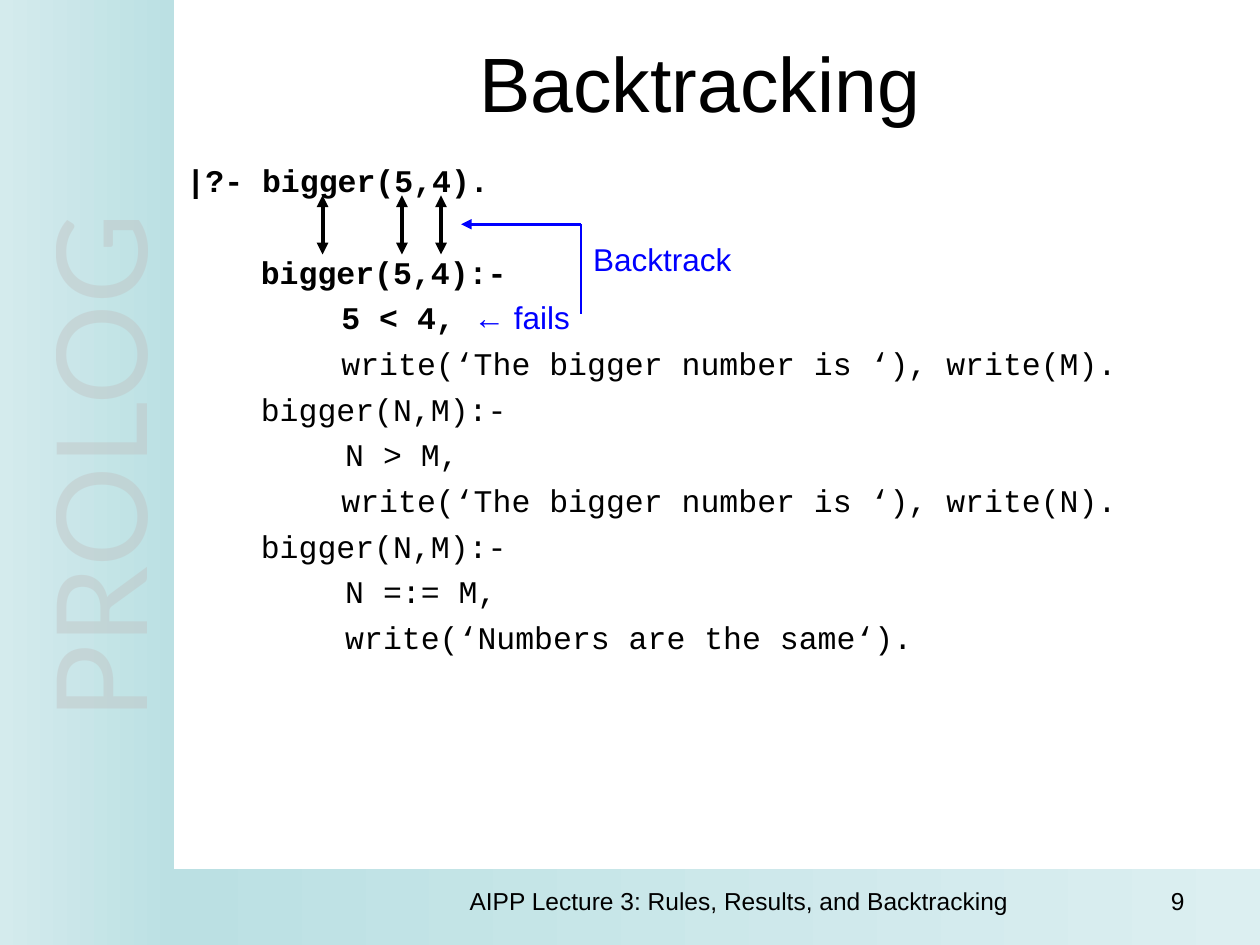
from pptx import Presentation
from pptx.dml.color import RGBColor
from pptx.enum.shapes import MSO_CONNECTOR as Connector, MSO_SHAPE as Preset
from pptx.enum.text import MSO_ANCHOR as Anchor, MSO_AUTO_SIZE as AutoSize, PP_ALIGN as Align
from pptx.oxml.ns import qn
from pptx.util import Inches, Pt
from lxml.etree import SubElement

BLACK = RGBColor(0x00, 0x00, 0x00)
BLUE = RGBColor(0x00, 0x00, 0xFF)
SILVER = RGBColor(0xC0, 0xC0, 0xC0)
TEAL = RGBColor(0xBB, 0xE0, 0xE3)
PALE_TEAL = RGBColor(0xD4, 0xEB, 0xED)
LIGHT_TEAL = RGBColor(0xDC, 0xEF, 0xF1)

CLAUSE, GOAL, TABBED_GOAL = 0.59, 1.23, 1.26
LINE_GAP, BLANK_LINE_GAP = 4.5, 30.6
CODE_LINES = [
    (0, [("|?- bigger(5,4).", True)]),
    (CLAUSE, [("bigger(5,4):-", True)]),
    (GOAL, [("5 < 4, ", True), ("← fails", False)]),
    (GOAL, [("write(‘The bigger number is ‘), write(M).", False)]),
    (CLAUSE, [("bigger(N,M):-", False)]),
    (TABBED_GOAL, [("N > M,", False)]),
    (GOAL, [("write(‘The bigger number is ‘), write(N).", False)]),
    (CLAUSE, [("bigger(N,M):-", False)]),
    (TABBED_GOAL, [("N =:= M,", False)]),
    (TABBED_GOAL, [("write(‘Numbers are the same‘).", False)]),
]


def place(shape, left, top, width, height):
    """Move and size a shape, in inches."""
    shape.left, shape.top = Inches(left), Inches(top)
    shape.width, shape.height = Inches(width), Inches(height)


def format_run(run, size, color, name="Arial", bold=False):
    """Set the font of a run."""
    run.font.name, run.font.size, run.font.bold = name, Pt(size), bold
    run.font.color.rgb = color


def add_band(slide, box, start, end):
    """Add a rectangle with a left to right gradient."""
    band = slide.shapes.add_shape(Preset.RECTANGLE, *map(Inches, box))
    band.shadow.inherit = False
    band.line.fill.background()
    band.fill.gradient()
    band.fill.gradient_angle = 0
    for stop, color in zip(band.fill.gradient_stops, (start, end)):
        stop.color.rgb = color


def add_label(slide, text, box, size, color, align=Align.LEFT, name="Arial", wrap=True):
    """Add a text box with one formatted line."""
    label = slide.shapes.add_textbox(*map(Inches, box))
    text_frame = label.text_frame
    text_frame.word_wrap = wrap
    text_frame.text = text
    paragraph = text_frame.paragraphs[0]
    paragraph.alignment = align
    format_run(paragraph.runs[0], size, color, name)
    return label


def add_watermark_word(slide):
    """Add the translucent vertical word on the side band."""
    label = add_label(slide, "PROLOG", (-2.77, 3.17, 6.85, 1.07), 72, SILVER, Align.CENTER, "Lato")
    label.rotation = 270
    color = next(label._element.iter(qn("a:srgbClr")))
    SubElement(color, qn("a:alpha"), val="42000")


def add_line(slide, start, end, color, width, arrowheads=()):
    """Add a straight line with triangles at the named ends."""
    line = slide.shapes.add_connector(Connector.STRAIGHT, *map(Inches, start + end))
    line.line.color.rgb = color
    line.line.width = Pt(width)
    outline = line.line._get_or_add_ln()
    for arrowhead in arrowheads:
        SubElement(outline, qn("a:" + arrowhead), type="triangle")
    SubElement(line._element.spPr, qn("a:effectLst"))


def fill_title(title):
    """Write the slide title."""
    place(title, 1.38, 0.21, 8.35, 0.87)
    text_frame = title.text_frame
    text_frame.text = "Backtracking"
    text_frame.vertical_anchor = Anchor.MIDDLE
    text_frame.auto_size = AutoSize.NONE
    paragraph = text_frame.paragraphs[0]
    paragraph.alignment = Align.CENTER
    format_run(paragraph.runs[0], 44, BLACK)


def fill_code(body):
    """Write the program lines with their indents."""
    place(body, 1.38, 1.23, 8.74, 5.67)
    text_frame = body.text_frame
    text_frame.auto_size = AutoSize.NONE
    text_frame.text = "\n".join("".join(text for text, _ in parts) for _, parts in CODE_LINES)
    for index, (paragraph, (margin, parts)) in enumerate(zip(text_frame.paragraphs, CODE_LINES)):
        paragraph.level = int(margin > CLAUSE)
        paragraph.line_spacing = Pt(21.6)
        paragraph.space_before = Pt(BLANK_LINE_GAP if index == 1 else LINE_GAP)
        properties = paragraph._p.get_or_add_pPr()
        properties.set("marL", str(Inches(margin)))
        properties.set("indent", "0")
        SubElement(properties, qn("a:buNone"))
        paragraph.clear()
        for text, bold in parts:
            run = paragraph.add_run()
            run.text = text
            if text.startswith("←"):
                format_run(run, 18, BLUE)
            else:
                format_run(run, 18, BLACK, "Courier New", bold)


def main():
    """Build and save the slide."""
    presentation = Presentation()
    presentation.slide_width, presentation.slide_height = Inches(10), Inches(7.5)
    slide = presentation.slides.add_slide(presentation.slide_layouts[1])

    add_band(slide, (1.38, 6.9, 8.62, 0.6), TEAL, LIGHT_TEAL)
    add_band(slide, (0, 0, 1.38, 7.5), PALE_TEAL, TEAL)
    add_watermark_word(slide)
    add_label(slide, "AIPP Lecture 3: Rules, Results, and Backtracking",
              (3.42, 6.98, 4.89, 0.37), 14, BLACK, Align.CENTER)
    add_label(slide, "9", (8.47, 6.98, 1.03, 0.37), 14, BLACK, Align.RIGHT)

    fill_title(slide.shapes.title)
    fill_code(slide.placeholders[1])

    for x in (2.56, 3.19, 3.5):
        add_line(slide, (x, 1.55), (x, 2.02), BLACK, 2.25, ("headEnd", "tailEnd"))
    add_line(slide, (4.61, 2.49), (4.61, 1.78), BLUE, 1.5)
    add_line(slide, (4.61, 1.78), (3.66, 1.78), BLUE, 1.5, ("tailEnd",))
    add_label(slide, "Backtrack", (4.61, 1.86, 1.3, 0.4), 18, BLUE, wrap=False)

    presentation.save("out.pptx")


if __name__ == "__main__":
    main()
